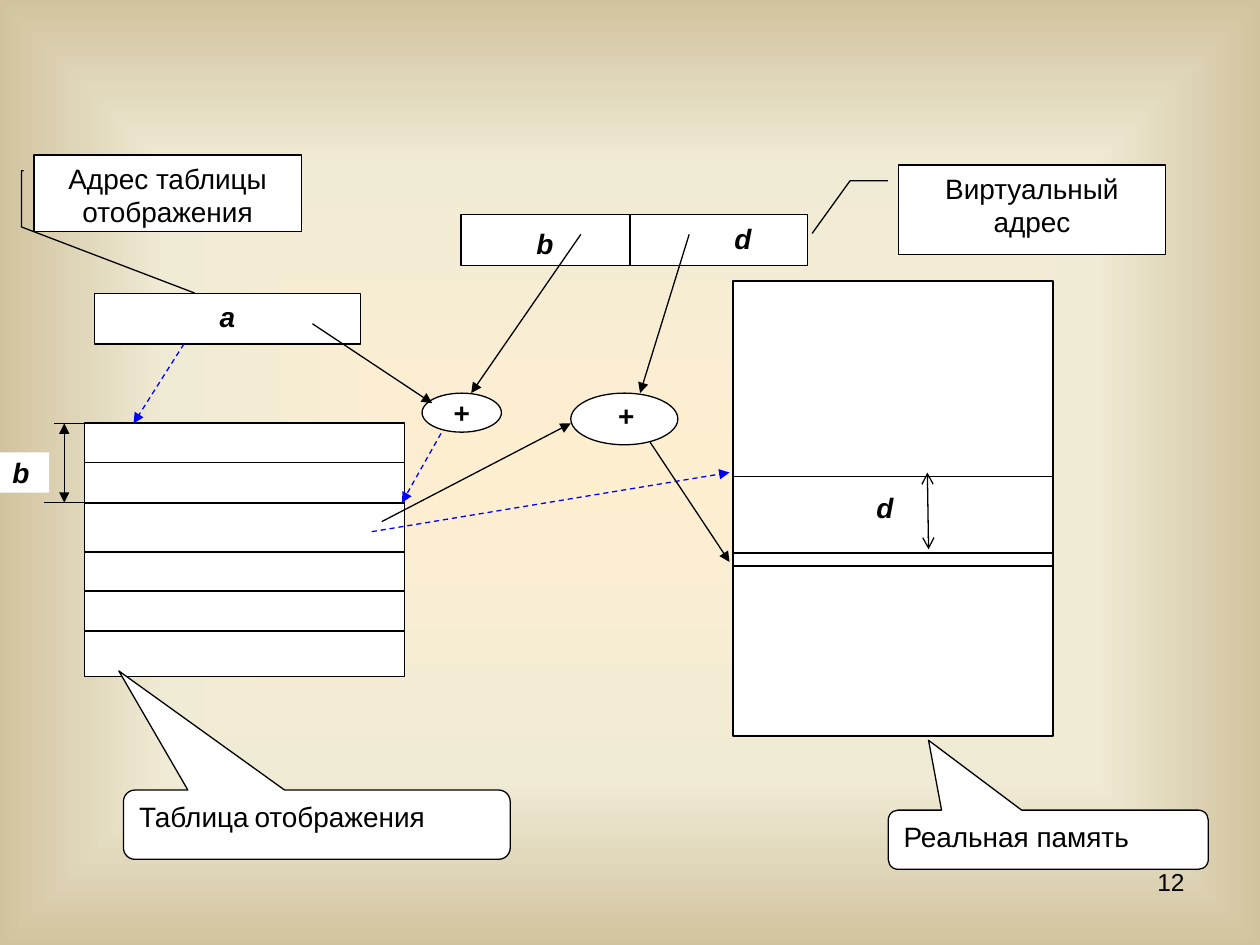
import itertools
import lxml.etree
import pptx
import pptx.dml.color
import pptx.enum.dml
import pptx.enum.shapes
import pptx.enum.text
import pptx.oxml
import pptx.oxml.ns
import pptx.util

deck = pptx.Presentation()
deck.slide_width = pptx.util.Inches(10)
deck.slide_height = pptx.util.Inches(7.5)
page = deck.slides.add_slide(deck.slide_layouts[6])
column = deck.slide_width / 100
row = deck.slide_height / 75

kinds = pptx.enum.shapes.MSO_SHAPE
aligns = pptx.enum.text.PP_ALIGN
anchors = pptx.enum.text.MSO_ANCHOR
left, center, right = aligns.LEFT, aligns.CENTER, aligns.RIGHT
top, middle = anchors.TOP, anchors.MIDDLE
black, blue = "000000", "0000FF"


def color(value):
    return pptx.dml.color.RGBColor.from_string(value)


def add_box(kind, x, y, width, height, line=0.75, text="", align=center,
            anchor=top, bold=False, italic=False, adjust=()):
    box = page.shapes.add_shape(kind, round(x * column), round(y * row),
                                round(width * column), round(height * row))
    box.shadow.inherit = False
    box.fill.solid()
    box.fill.fore_color.rgb = color("FFFFFF")
    if line:
        box.line.color.rgb = color(black)
        box.line.width = pptx.util.Pt(line)
    else:
        box.line.fill.background()
    for index, value in enumerate(adjust):
        box.adjustments[index] = value
    box.text_frame.vertical_anchor = anchor
    if text:
        para = box.text_frame.paragraphs[0]
        para.text = text
        para.alignment = align
        para.font.name = "Arial"
        para.font.size = pptx.util.Pt(16)
        para.font.bold = bold
        para.font.italic = italic
        para.font.color.rgb = color(black)
    return box


page.background.fill.gradient()
gradient = page._element.find(".//" + pptx.oxml.ns.qn("a:gradFill"))
for child in list(gradient):
    gradient.remove(child)
stop_list = lxml.etree.SubElement(gradient, pptx.oxml.ns.qn("a:gsLst"))
for share, value in ((0, "FFEFD1"), (65, "F0EBD5"), (100, "D1C39F")):
    stop = lxml.etree.SubElement(stop_list, pptx.oxml.ns.qn("a:gs"), pos=str(share * 1000))
    lxml.etree.SubElement(stop, pptx.oxml.ns.qn("a:srgbClr"), val=value)
shade = lxml.etree.SubElement(gradient, pptx.oxml.ns.qn("a:path"), path="shape")
lxml.etree.SubElement(shade, pptx.oxml.ns.qn("a:fillToRect"),
                      l="50000", t="50000", r="50000", b="50000")

number = page.shapes.add_textbox(round(71.7 * column), round(68.3 * row),
                                 round(23.3 * column), round(5.2 * row))
number.text_frame.word_wrap = True
para = number.text_frame.paragraphs[0]
para.text = "12"
para.alignment = right
para.font.name = "Arial"
para.font.size = pptx.util.Pt(14)
para.font.color.rgb = color(black)

table_left, table_top, table_right = 6.7, 33.6, 32.1
memory_left, memory_top, memory_right = 58.2, 22.3, 83.6
block_width = table_right - table_left
row_heights = (3.1, 3.2, 3.9, 3.1, 3.2, 3.6)
row_edges = list(itertools.accumulate(row_heights, initial=table_top))
entry = row_edges[2]
frame, cell = 37.8, 43.9

add_box(kinds.RECTANGLE, 7.5, 23.3, 21.1, 4, text="a", bold=True, italic=True)
add_box(kinds.RECTANGLE, table_left, table_top, block_width, sum(row_heights), 1)
add_box(kinds.RECTANGLE, memory_left, memory_top, block_width, 36.1, 1)
add_box(kinds.RECTANGLE, memory_left, cell, block_width, 1, 1)
add_box(kinds.RECTANGLE, 36.6, 17, 27.5, 4.1)
add_box(kinds.OVAL, 33.5, 31.2, 6.3, 3.1, text="+", anchor=middle, bold=True)
add_box(kinds.OVAL, 45.3, 31.2, 8.5, 4.1)
add_box(kinds.RECTANGLE, 47.6, 32, 4.2, 2, 0, "+", anchor=middle, bold=True)

for text, x, y, width, height, align in (
    ("b", 39, 17.8, 8.5, 3.1, center),
    ("d", 54.7, 17.8, 8.5, 2.3, center),
    ("d", 63.4, 39.1, 8.5, 2.3, right),
    ("b", 0, 35.9, 3.9, 3.2, left),
):
    add_box(kinds.RECTANGLE, x, y, width, height, 0, text, align, middle, True, True)

table_callout = add_box(kinds.ROUNDED_RECTANGULAR_CALLOUT, 9.8, 62.7, 30.7, 5.5,
                        text="Таблица", align=left, adjust=(-0.512, -2.219, 0.167))
para = table_callout.text_frame.paragraphs[0]
span = para.add_run()
span.text = " "
span.font.size = pptx.util.Pt(12)
para.add_run().text = "отображения"
add_box(kinds.ROUNDED_RECTANGULAR_CALLOUT, 70.5, 64.3, 25.4, 4.7,
        text="Реальная память", align=left, adjust=(-0.374, -1.68, 0.167))
add_box(kinds.LINE_CALLOUT_3, 2.7, 12.3, 21.2, 6.1, text="Адрес таблицы отображения",
        adjust=(0.206, -0.039, 0.206, -0.047, 0.937, -0.047, 1.797, 0.601))
add_box(kinds.LINE_CALLOUT_2, 71.3, 13.1, 21.2, 7.1, text="Виртуальный адрес",
        adjust=(0.176, -0.039, 0.176, -0.181, 0.765, -0.323))

lines = [(table_left, y, table_right, y, 1, black, "", "") for y in row_edges[1:-1]]
lines += [(*ends, 0.75, black, "", "") for ends in (
    (memory_left, frame, memory_right, frame),
    (50, 17, 50, 21.1),
    (77.7, frame, 81.9, frame),
    (77.7, cell, 81.9, cell),
    (4.3, table_top, 7.5, table_top),
    (3.5, entry, 7.5, entry),
)]
lines += [(*ends, 0.75, black, "", "triangle") for ends in (
    (46.1, 18.6, 37.4, 31.2),
    (24.8, 25.7, 34.3, 32),
    (54.7, 18.6, 50.8, 31.2),
    (30.3, 41.4, 45.3, 33.6),
    (51.6, 35.1, 57.9, 44.6),
)]
lines += [(*ends, 0.75, blue, "", "triangle") for ends in (
    (14.6, 27.3, 10.6, table_top),
    (35, 34.4, 31.9, entry),
    (29.5, 42.2, 57.9, 37.5),
)]
lines += [
    (73.6, 37.5, 73.7, 43.6, 0.75, black, "arrow", "arrow"),
    (5.1, table_top, 5.1, entry, 0.75, black, "triangle", "triangle"),
]
for x1, y1, x2, y2, width, value, head, tail in lines:
    line = page.shapes.add_connector(pptx.enum.shapes.MSO_CONNECTOR.STRAIGHT,
                                     round(x1 * column), round(y1 * row),
                                     round(x2 * column), round(y2 * row))
    line.line.color.rgb = color(value)
    line.line.width = pptx.util.Pt(width)
    if value == blue:
        line.line.dash_style = pptx.enum.dml.MSO_LINE.DASH
    outline = line._element.spPr.find(pptx.oxml.ns.qn("a:ln"))
    for tag, arrow in (("a:headEnd", head), ("a:tailEnd", tail)):
        if arrow:
            lxml.etree.SubElement(outline, pptx.oxml.ns.qn(tag), type=arrow)
    lxml.etree.SubElement(line._element.spPr, pptx.oxml.ns.qn("a:effectLst"))

deck.save("out.pptx")
